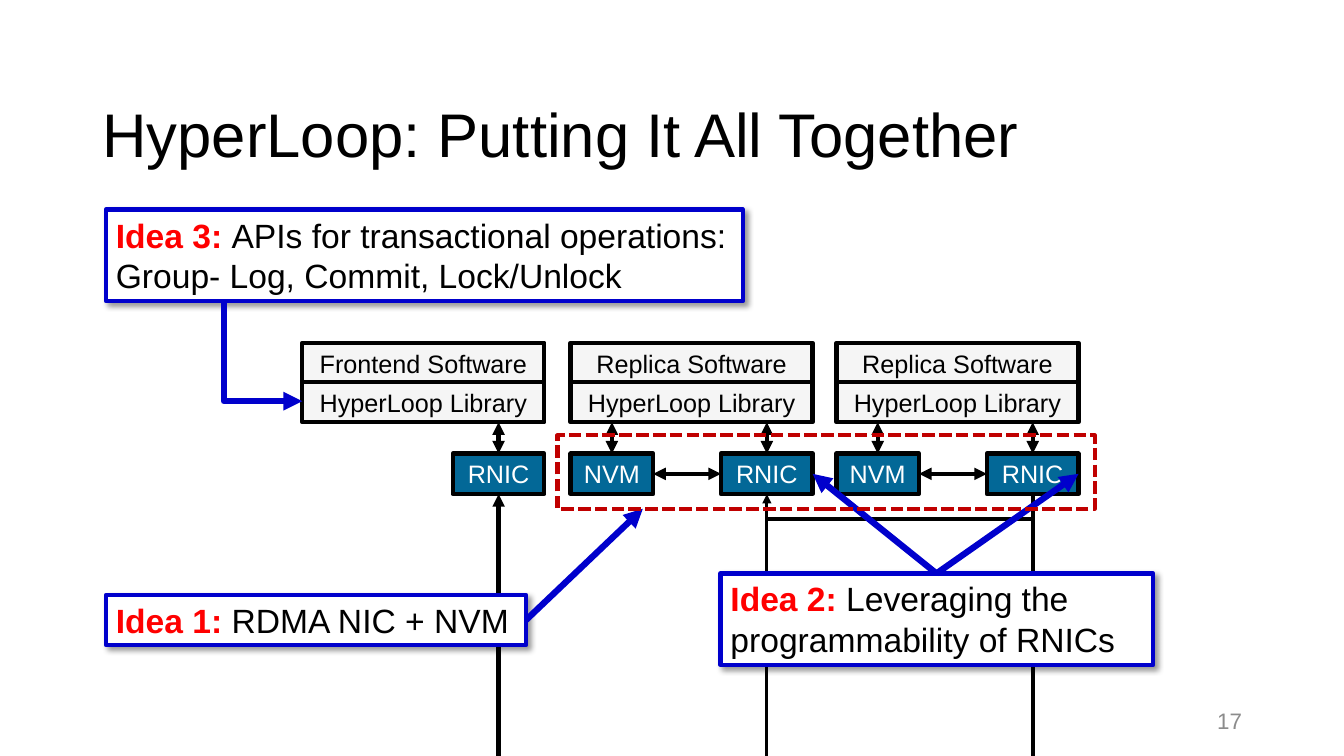
from lxml import etree
from pptx import Presentation
from pptx.dml.color import RGBColor
from pptx.enum.dml import MSO_LINE
from pptx.enum.shapes import MSO_CONNECTOR, MSO_SHAPE
from pptx.enum.text import MSO_ANCHOR, PP_ALIGN
from pptx.oxml.ns import qn
from pptx.util import Cm, Pt

RECT = MSO_SHAPE.RECTANGLE
STRAIGHT = MSO_CONNECTOR.STRAIGHT
DASH = MSO_LINE.SQUARE_DOT
TOP, MIDDLE = MSO_ANCHOR.TOP, MSO_ANCHOR.MIDDLE
LEFT, CENTER, RIGHT = PP_ALIGN.LEFT, PP_ALIGN.CENTER, PP_ALIGN.RIGHT
BLACK, WHITE, BLUE, RED = "000000", "FFFFFF", "0000CC", "FF0000"
TEAL, PALE, GRAY, CRIMSON = "036897", "F5F5F5", "8C8C8C", "C00000"
FULL, HIGH, CHIP, NVM = 6.1, 1.02, 2.31, 2.08


def color(code):
    """Turn a hex string into a colour."""
    return RGBColor.from_string(code)


def stroke(item, code, width, ends=()):
    """Set the line of an item, with arrowheads at the named ends."""
    item.line.color.rgb = color(code)
    item.line.width = Pt(width)
    ln = item.element.spPr.find(qn("a:ln"))
    for end in ends:
        etree.SubElement(ln, qn("a:" + end), type="triangle")


def link(shapes, start, stop, code=BLACK, width=3, ends=("tailEnd",)):
    """Draw a straight line between two points."""
    line = shapes.add_connector(STRAIGHT, *(Cm(n) for n in start + stop))
    stroke(line, code, width, ends)
    etree.SubElement(line.element.spPr, qn("a:effectLst"))


def elbow(shapes, points, code, width):
    """Draw a bent arrow through the points."""
    spots = [(Cm(x), Cm(y)) for x, y in points]
    form = shapes.build_freeform(*spots[0])
    form.add_line_segments(spots[1:], close=False)
    bend = form.convert_to_shape()
    bend.shadow.inherit = False
    bend.fill.background()
    stroke(bend, code, width, ("tailEnd",))


def write(frame, lines, size, align=LEFT, anchor=MIDDLE):
    """Fill a text frame with lines of (text, colour, bold) runs."""
    frame.word_wrap = True
    frame.vertical_anchor = anchor
    for i, runs in enumerate(lines):
        para = frame.add_paragraph() if i else frame.paragraphs[0]
        para.alignment = align
        para.font.name = "Arial"
        para.font.size = Pt(size)
        for text, code, bold in runs:
            run = para.add_run()
            run.text = text
            run.font.color.rgb = color(code)
            run.font.bold = bold


def label(shapes, box, text, size, code=BLACK, align=LEFT):
    """Place a plain line of text."""
    area = shapes.add_textbox(*(Cm(n) for n in box))
    write(area.text_frame, [[(text, code, False)]], size, align)
    return area.text_frame.paragraphs[0]


def block(shapes, box, fill, edge=BLACK):
    """Draw an outlined rectangle, hollow when fill is None."""
    rect = shapes.add_shape(RECT, *(Cm(n) for n in box))
    rect.shadow.inherit = False
    if fill:
        rect.fill.solid()
        rect.fill.fore_color.rgb = color(fill)
    else:
        rect.fill.background()
    stroke(rect, edge, 3)
    return rect


def part(shapes, box, text, fill, code):
    """Draw a named part of a machine."""
    rect = block(shapes, box, fill)
    write(rect.text_frame, [[(text, code, False)]], 18, CENTER)


def machine(shapes, left, top, role, store):
    """Draw one machine: software, library, RNIC and perhaps NVM."""
    for name, drop in ((role + " Software", 0), ("HyperLoop Library", 0.98)):
        part(shapes, (left, top + drop, FULL, HIGH), name, PALE, BLACK)
    low, base = top + 2.79, top + 0.98 + HIGH
    nic = left + FULL - CHIP
    chips = [("RNIC", nic, CHIP)]
    both = ("headEnd", "tailEnd")
    if store:
        chips.append(("NVM", left, NVM))
        mid = low + HIGH / 2
        link(shapes, (left + NVM, mid), (nic, mid), ends=both)
    for name, x, wide in chips:
        part(shapes, (x, low, wide, HIGH), name, TEAL, WHITE)
        link(shapes, (x + wide / 2, low), (x + wide / 2, base), ends=both)


def wires(shapes, xs, top, bottom):
    """Draw the network wires below the RNICs."""
    first, second, third = xs
    bus = top + 0.62
    link(shapes, (first, bottom), (first, top))
    link(shapes, (second, bottom), (second, top), width=2.25)
    link(shapes, (third, bottom), (third, top), ends=())
    link(shapes, (second, bus), (third, bus), ends=())


def idea(shapes, box, number, *lines):
    """Draw a shadowed callout for one idea."""
    rect = block(shapes, box, WHITE, BLUE)
    effects = rect.element.spPr.find(qn("a:effectLst"))
    shade = etree.SubElement(effects, qn("a:outerShdw"), blurRad=str(Pt(4)),
                             dist=str(Pt(3)), dir="2700000", algn="tl", rotWithShape="0")
    tint = etree.SubElement(shade, qn("a:srgbClr"), val=BLACK)
    etree.SubElement(tint, qn("a:alpha"), val="40000")
    rows = [[(line, BLACK, False)] for line in lines]
    rows[0].insert(0, (f"Idea {number}: ", RED, True))
    write(rect.text_frame, rows, 24, anchor=TOP)


def main():
    """Build the slide and save it."""
    deck = Presentation()
    deck.slide_width, deck.slide_height = Cm(33.87), Cm(19.05)
    shapes = deck.slides.add_slide(deck.slide_layouts[6]).shapes
    title = label(shapes, (2.33, 1.62, 29.21, 3.68),
                  "HyperLoop: Putting It All Together", 44)
    title.line_spacing = 0.9
    label(shapes, (23.93, 17.65, 7.62, HIGH), "17", 16, GRAY, RIGHT)

    lefts, top = (7.62, 14.38, 21.08), 8.64
    wires(shapes, [x + FULL - CHIP / 2 for x in lefts], 12.45, 19.05)
    for x, role in zip(lefts, ("Frontend", "Replica", "Replica")):
        machine(shapes, x, top, role, role == "Replica")

    idea(shapes, (2.67, 5.28, 16.05, 2.31), 3,
         "APIs for transactional operations:", "Group- Log, Commit, Lock/Unlock")
    idea(shapes, (2.67, 14.99, 10.59, 1.27), 1, "RDMA NIC + NVM")
    idea(shapes, (18.16, 14.45, 10.9, 2.31), 2,
         "Leveraging the programmability of RNICs")

    elbow(shapes, [(5.64, 7.59), (5.64, 10.11), (7.62, 10.11)], BLUE, 4.5)
    link(shapes, (13.26, 15.62), (16.2, 12.82), BLUE, 4.5)
    for x in lefts[1:]:
        link(shapes, (23.6, 14.45), (x + FULL, 11.94), BLUE, 4.5)
    block(shapes, (14.05, 10.97, 13.54, 1.85), None, CRIMSON).line.dash_style = DASH
    deck.save("out.pptx")


main()
